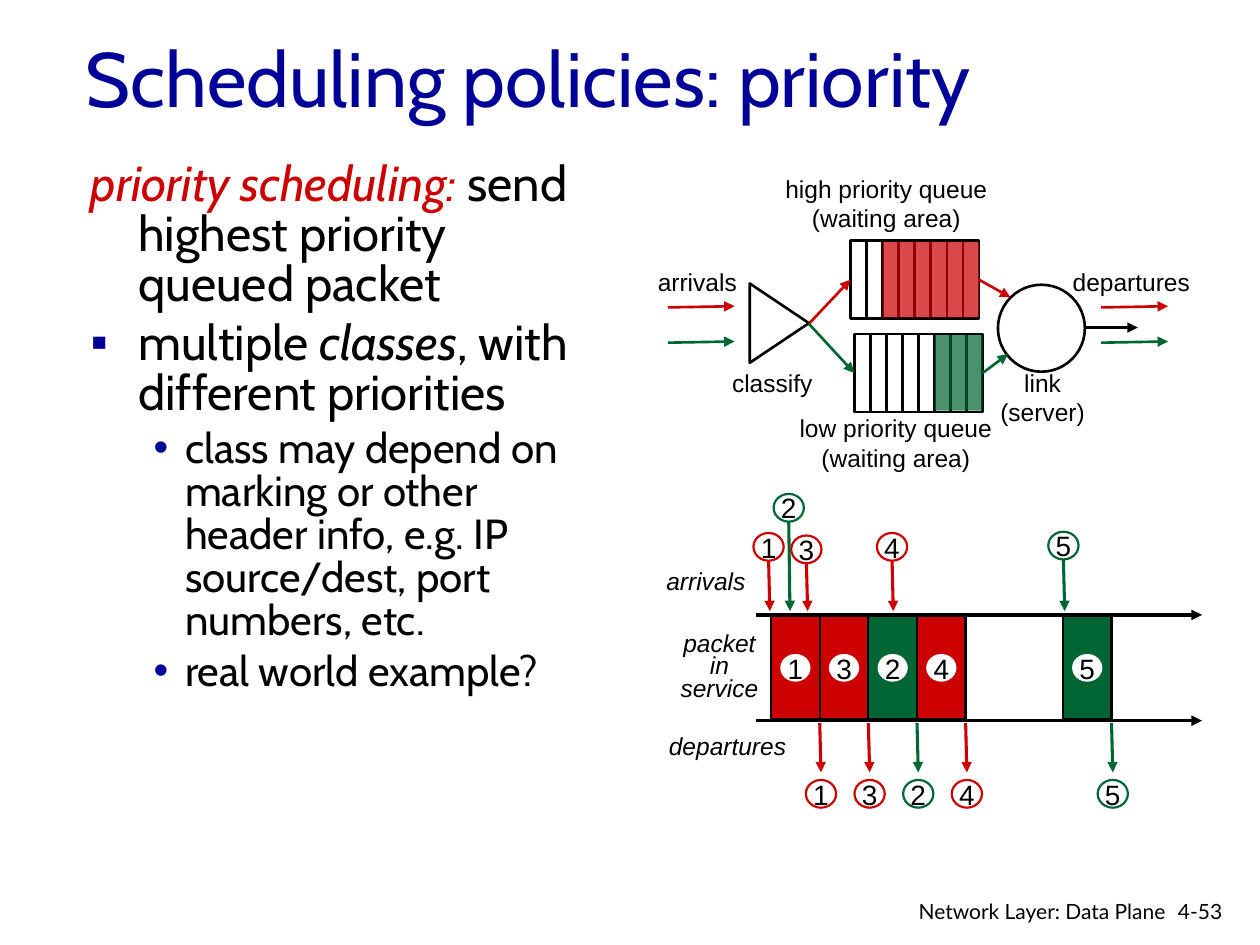
from dataclasses import dataclass
from lxml.etree import SubElement
from pptx import Presentation
from pptx.dml.color import RGBColor
from pptx.enum.shapes import MSO_CONNECTOR, MSO_SHAPE
from pptx.enum.text import MSO_ANCHOR, PP_ALIGN
from pptx.oxml.ns import qn
from pptx.util import Inches, Pt

COLUMNS, ROWS = 100, 75
COLUMN = Inches(10) // COLUMNS
ROW = Inches(7.5) // ROWS
COLORS = {"red": "CC0000", "green": "006633", "blue": "000099",
          "black": "000000", "white": "FFFFFF"}


@dataclass
class Box:
    left: float
    top: float
    width: float
    height: float

    def inner(self, left, top, width, height):
        return Box(self.left + left, self.top + top, width, height)

    def point(self, across, down):
        return self.left + across, self.top + down

    def emu(self):
        return (round(self.left * COLUMN), round(self.top * ROW),
                round(self.width * COLUMN), round(self.height * ROW))


def rgb(name):
    return RGBColor.from_string(COLORS[name])


def style_font(paragraph, size, name="Arial", color="black", italic=None):
    font = paragraph.font
    font.size, font.name, font.italic = Pt(size), name, italic
    font.color.rgb = rgb(color)


def add_text(slide, box, lines, size=14, name="Arial", color="black", italic=None,
             align=PP_ALIGN.CENTER, wrap=False, anchor=MSO_ANCHOR.TOP, spacing=None):
    frame = slide.shapes.add_textbox(*box.emu()).text_frame
    frame.word_wrap = wrap
    frame.vertical_anchor = anchor
    for index, line in enumerate(lines):
        paragraph = frame.add_paragraph() if index else frame.paragraphs[0]
        paragraph.text = line
        paragraph.alignment = align
        paragraph.line_spacing = spacing
        style_font(paragraph, size, name, color, italic)


def add_shape(slide, kind, box, fill=None, line=None, width=1.5):
    shape = slide.shapes.add_shape(kind, *box.emu())
    shape.shadow.inherit = False
    if fill:
        shape.fill.solid()
        shape.fill.fore_color.rgb = rgb(fill)
    else:
        shape.fill.background()
    if line:
        shape.line.color.rgb = rgb(line)
        shape.line.width = Pt(width)
    else:
        shape.line.fill.background()
    return shape


def add_line(slide, start, end, color="black", width=1.5, arrow=True):
    connector = slide.shapes.add_connector(
        MSO_CONNECTOR.STRAIGHT, round(start[0] * COLUMN), round(start[1] * ROW),
        round(end[0] * COLUMN), round(end[1] * ROW))
    connector.line.color.rgb = rgb(color)
    connector.line.width = Pt(width)
    properties = connector._element.spPr
    if arrow:
        SubElement(properties.find(qn("a:ln")), qn("a:tailEnd"), type="triangle")
    SubElement(properties, qn("a:effectLst"))
    return connector


def add_number(slide, center, top, number, line=None):
    circle = add_shape(slide, MSO_SHAPE.OVAL, Box(center - 1.2, top, 2.4, 2.2),
                       "white", line, 1.25)
    frame = circle.text_frame
    frame.margin_left = frame.margin_right = frame.margin_top = frame.margin_bottom = 0
    frame.word_wrap = False
    frame.vertical_anchor = MSO_ANCHOR.MIDDLE
    paragraph = frame.paragraphs[0]
    paragraph.text = str(number)
    paragraph.alignment = PP_ALIGN.CENTER
    style_font(paragraph, 16)


def add_body(slide, box):
    paragraphs = [
        (None, 28, 0.38, 0.38, [("priority scheduling: ", "red", True),
                                ("send highest priority queued packet", "black", False)]),
        ("▪", 28, 0.38, 0.38, [("multiple ", "black", False), ("classes", "black", True),
                               (", with different priorities", "black", False)]),
        ("•", 24, 0.75, 0.25, [("class may depend on marking or other header info, "
                                "e.g. IP source/dest, port numbers, etc.", "black", False)]),
        ("•", 24, 0.75, 0.25, [("real world example?", "black", False)]),
    ]
    frame = slide.shapes.add_textbox(*box.emu()).text_frame
    frame.word_wrap = True
    for index, (bullet, size, margin, hanging, runs) in enumerate(paragraphs):
        paragraph = frame.add_paragraph() if index else frame.paragraphs[0]
        properties = paragraph._p.get_or_add_pPr()
        properties.set("marL", str(Inches(margin)))
        properties.set("indent", str(-Inches(hanging)))
        if bullet:
            bullet_color = SubElement(properties, qn("a:buClr"))
            SubElement(bullet_color, qn("a:srgbClr"), val=COLORS["blue"])
            SubElement(properties, qn("a:buFont"), typeface="Arial")
            SubElement(properties, qn("a:buChar"), char=bullet)
        paragraph.line_spacing = 0.85
        if index:
            paragraph.space_before = Pt(size * 0.2)
        style_font(paragraph, size, "Cabin")
        for text, color, italic in runs:
            run = paragraph.add_run()
            run.text = text
            if len(runs) > 1:
                run.font.color.rgb = rgb(color)
                run.font.italic = italic


def add_queue(slide, box, free_cells, color, cells=8):
    cell = box.width / cells
    frame = add_shape(slide, MSO_SHAPE.RECTANGLE, box, line="black")
    for index in range(1, cells):
        across = index * cell
        add_line(slide, box.point(across, 0.1), box.point(across, box.height), arrow=False)
    waiting = box.inner(free_cells * cell, 0.1, (cells - free_cells) * cell, 6)
    overlay = add_shape(slide, MSO_SHAPE.RECTANGLE, waiting, color)
    fill_color = overlay._element.spPr.find(qn("a:solidFill"))[0]
    SubElement(fill_color, qn("a:alpha"), val="71000")
    return frame


def add_queue_diagram(slide, box):
    low = add_queue(slide, box.inner(16.8, 13.5, 10.2, 6.2), 5, "green")
    high = add_queue(slide, box.inner(16.5, 6.1, 10.2, 6.2), 2, "red")
    classifier = add_shape(slide, MSO_SHAPE.ISOSCELES_TRIANGLE,
                           box.inner(7.7, 10.3, 6.3, 4.7), line="black")
    classifier.rotation = 90
    add_shape(slide, MSO_SHAPE.OVAL, box.inner(28.2, 9.6, 6.9, 6.9), line="black")
    tip = box.point(13.2, 12.7)
    routes = [(high, "red", (16.5, 9.2), (26.7, 9.2), (29.2, 10.6)),
              (low, "green", (16.8, 16.6), (27, 16.6), (29, 15.1))]
    for queue, color, entry, departure, server in routes:
        add_line(slide, tip, box.point(*entry), color).end_connect(queue, 1)
        add_line(slide, box.point(*departure), box.point(*server), color).begin_connect(queue, 3)
    for across in (2, 36.4):
        for down, color in ((11.4, "red"), (14.2, "green")):
            add_line(slide, box.point(across, down), box.point(across + 5.3, down - 0.1), color)
    add_line(slide, box.point(35, 13), box.point(39.3, 13))
    labels = [(10, 0.3, 18.7, ["high priority queue", "(waiting area)"]),
              (11.4, 19.3, 17.4, ["low priority queue", "(waiting area)"]),
              (0.2, 7.7, 8.3, ["arrivals"]),
              (6, 15.7, 8.6, ["classify"]),
              (33.1, 7.7, 11.4, ["departures"]),
              (27.1, 15.7, 9.3, ["link", "(server)"])]
    for across, down, width, lines in labels:
        add_text(slide, box.inner(across, down, width, 1.1 + 2.3 * len(lines)), lines)


def add_timeline(slide, box):
    slot, first, top, bottom = 3.86, 9.2, 9.8, 18.2
    for down in (top, bottom):
        add_line(slide, box.point(8, down), box.point(43.4, down), width=2)
    packets = [(1, "red", 0, 9, 3.3), (3, "red", 1, 12, 3.5), (2, "green", 2, 10.6, 0.2),
               (4, "red", 3, 18.8, 3.3), (5, "green", 6, 32.4, 3.2)]
    for number, color, index, arrival, arrival_top in packets:
        start = first + index * slot
        end = start + slot
        add_shape(slide, MSO_SHAPE.RECTANGLE, box.inner(start, 9.9, slot, 8.2),
                  color, "black", 1.25)
        add_number(slide, *box.point(start + slot / 2, 12.9), number)
        add_line(slide, box.point(arrival, arrival_top + 2.2),
                 box.point(arrival + 0.1, 9.5), color, 1.75)
        add_number(slide, *box.point(arrival, arrival_top), number, color)
        add_line(slide, box.point(end, 18.4), box.point(end + 0.1, 22.3), color, 1.75)
        add_number(slide, *box.point(end + 0.1, 22.9), number, color)
    for text, across, down, width in (("arrivals", -0.1, 5.4, 8.8),
                                      ("departures", 0.1, 18.5, 11.9)):
        add_text(slide, box.inner(across, down, width, 3.4), [text],
                 italic=True, align=PP_ALIGN.LEFT)
    add_text(slide, box.inner(0.4, 10.9, 9.4, 6.5), ["packet in service"],
             italic=True, wrap=True, spacing=Pt(12.8))


def add_footer(slide, box):
    add_text(slide, box.inner(0, 0, 23.8, 2.6), ["Network Layer: Data Plane"], 12, "Lato",
             align=PP_ALIGN.RIGHT, wrap=True)
    add_text(slide, box.inner(22.8, 0, 6.1, 3), ["4-53"], 12, "Lato",
             align=PP_ALIGN.LEFT, wrap=True)


def main():
    presentation = Presentation()
    presentation.slide_width = COLUMN * COLUMNS
    presentation.slide_height = ROW * ROWS
    slide = presentation.slides.add_slide(presentation.slide_layouts[6])
    add_text(slide, Box(5.8, -0.2, 85, 12.5), ["Scheduling policies: priority"], 44, "Cabin",
             "blue", align=PP_ALIGN.LEFT, wrap=True, anchor=MSO_ANCHOR.MIDDLE)
    add_body(slide, Box(6.2, 12.3, 42.5, 55.8))
    add_queue_diagram(slide, Box(51, 13, 45, 25))
    add_timeline(slide, Box(52, 39, 44, 25))
    add_footer(slide, Box(69.7, 70.8, 29, 3))
    presentation.save("out.pptx")


if __name__ == "__main__":
    main()
